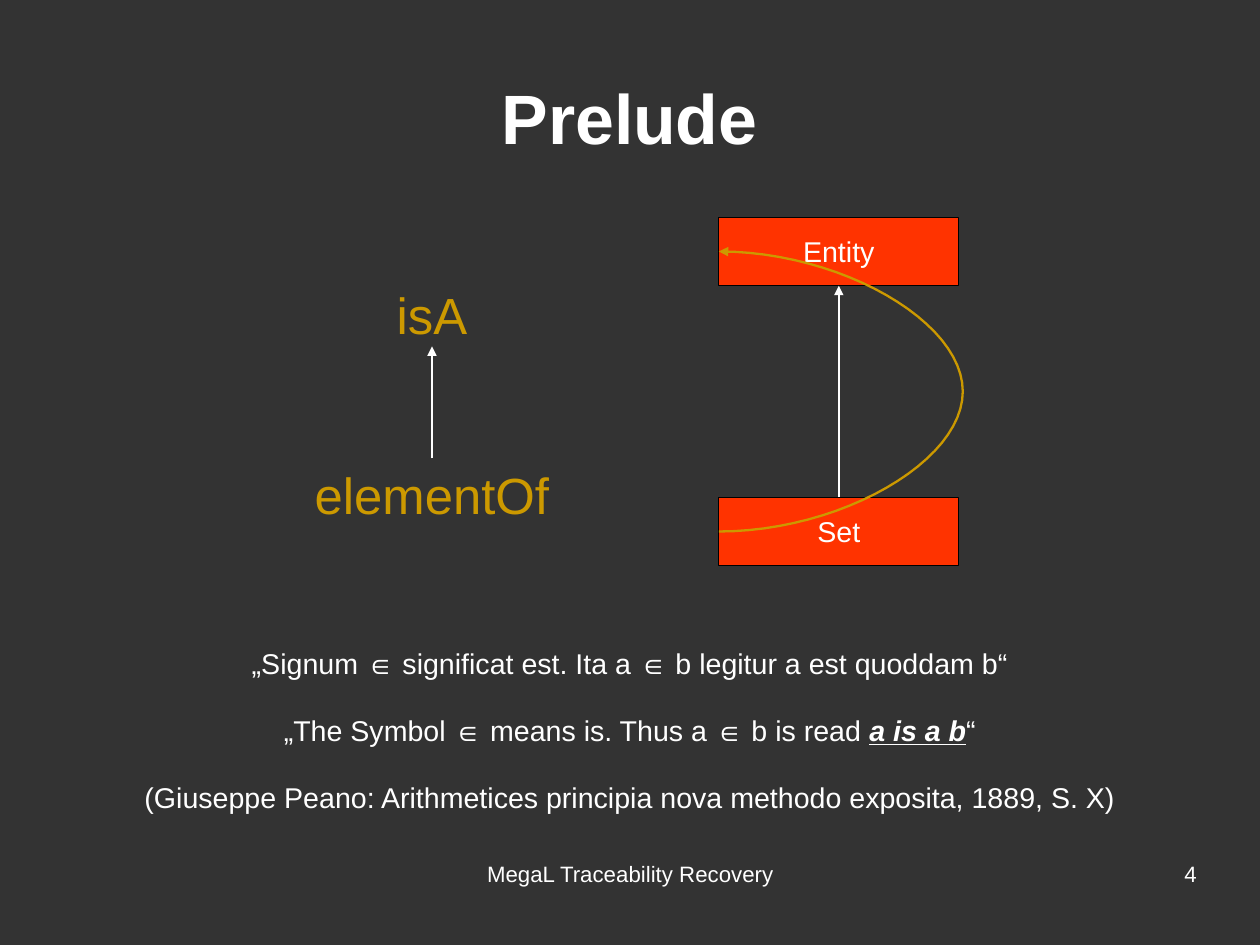
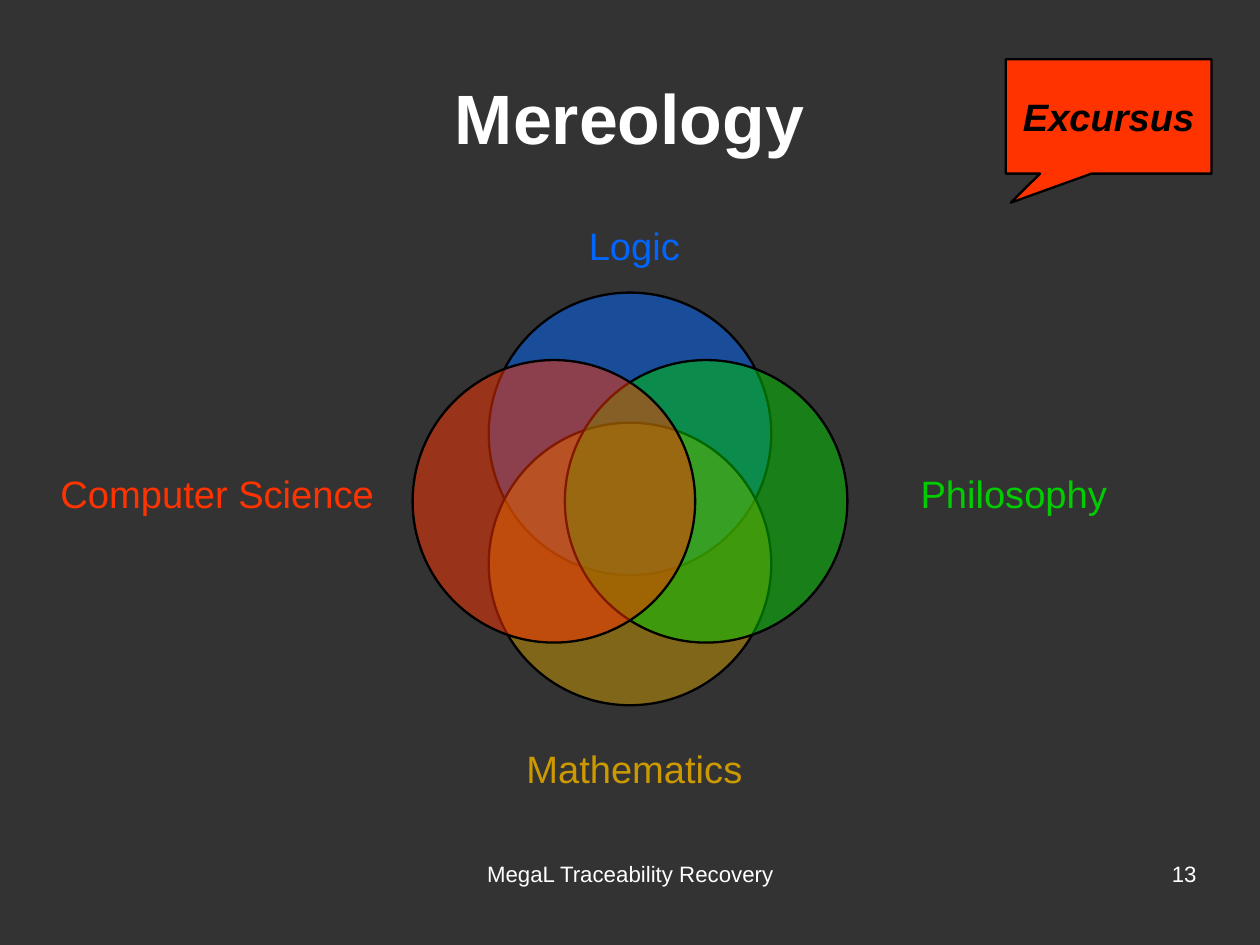
import dataclasses

import lxml.etree
import pptx
import pptx.dml.color
import pptx.enum.shapes
import pptx.enum.text
import pptx.oxml.ns
import pptx.util

Pt = pptx.util.Pt
Shape = pptx.enum.shapes.MSO_SHAPE
Align = pptx.enum.text.PP_ALIGN
Anchor = pptx.enum.text.MSO_ANCHOR


@dataclasses.dataclass(frozen=True)
class Theme:
    font: str = "Arial"
    back: str = "333333"
    white: str = "FFFFFF"
    black: str = "000000"
    red: str = "FF3300"
    gold: str = "CC9900"
    green: str = "00CC00"
    blue: str = "0066FF"
    title: int = 44
    term: int = 32
    label: int = 24
    body: int = 18
    foot: int = 14
    line: float = 1.45


THEME = Theme()
WIDE, HIGH = 793.7, 595.28


def hue(code):
    return pptx.dml.color.RGBColor.from_string(code)


def node(parent, tag, **marks):
    return lxml.etree.SubElement(parent, pptx.oxml.ns.qn(tag), **marks)


def write(shape, *paras, size=THEME.body, color=THEME.white, bold=False, slant=False,
          align=Align.CENTER, anchor=Anchor.TOP, inset=(7.2, 3.6), wrap=True, gap=0):
    frame = shape.text_frame
    frame.word_wrap = wrap
    frame.vertical_anchor = anchor
    frame.margin_left = frame.margin_right = Pt(inset[0])
    frame.margin_top = frame.margin_bottom = Pt(inset[1])
    for index, para in enumerate(paras):
        line = frame.add_paragraph() if index else frame.paragraphs[0]
        line.alignment = align
        line.space_after = Pt(gap)
        for words, stress in [(para, False)] if isinstance(para, str) else para:
            run = line.add_run()
            run.text = words
            run.font.name = THEME.font
            run.font.size = Pt(size)
            run.font.color.rgb = hue(color)
            run.font.bold = bold or stress
            run.font.italic = slant or stress
            run.font.underline = stress


def label(slide, box, *paras, **style):
    write(slide.shapes.add_textbox(*map(Pt, box)), *paras, **style)


def block(slide, kind, box, fill, width=THEME.line, alpha=None):
    shape = slide.shapes.add_shape(kind, *map(Pt, box))
    shape.shadow.inherit = False
    shape.fill.solid()
    shape.fill.fore_color.rgb = hue(fill)
    shape.line.color.rgb = hue(THEME.black)
    shape.line.width = Pt(width)
    if alpha:
        paint = shape._element.spPr.find(pptx.oxml.ns.qn("a:solidFill"))
        node(paint[0], "a:alpha", val=str(alpha * 1000))
    return shape


def tip(shape, color):
    shape.line.color.rgb = hue(color)
    shape.line.width = Pt(THEME.line)
    node(shape.line._get_or_add_ln(), "a:tailEnd", type="triangle")


def arrow(slide, x, start, end):
    link = slide.shapes.add_connector(
        pptx.enum.shapes.MSO_CONNECTOR.STRAIGHT, Pt(x), Pt(start), Pt(x), Pt(end))
    tip(link, THEME.white)
    node(link._element.spPr, "a:effectLst")


def loop(slide, x, start, end, reach, steps=24):
    half = (start - end) / 2
    quarter = []
    for index in range(steps + 1):
        t = index / steps
        across = 1.5 * t * (1 - t) ** 2 + 3 * t ** 2 * (1 - t) + t ** 3
        up = 1.5 * t ** 2 * (1 - t) + t ** 3
        quarter.append((x + reach * across, half * up))
    dots = [(a, start - b) for a, b in quarter]
    dots += [(a, end + b) for a, b in quarter[-2::-1]]
    dots = [(Pt(a), Pt(b)) for a, b in dots]
    path = slide.shapes.build_freeform(*dots[0], scale=1.0)
    path.add_line_segments(dots[1:], close=False)
    curve = path.convert_to_shape()
    curve.shadow.inherit = False
    curve.fill.background()
    tip(curve, THEME.gold)


def base(deck, title, number):
    slide = deck.slides.add_slide(deck.slide_layouts[6])
    slide.background.fill.solid()
    slide.background.fill.fore_color.rgb = hue(THEME.back)
    label(slide, (39.6, 23.8, 714.2, 99.4), title, size=THEME.title, bold=True,
          anchor=Anchor.MIDDLE, inset=(0, 0))
    label(slide, (271.4, 542.2, 251.3, 41), "MegaL Traceability Recovery",
          size=THEME.foot, inset=(0, 0))
    label(slide, (568.8, 542.2, 185, 41), str(number), size=THEME.foot,
          align=Align.RIGHT, inset=(0, 0))
    return slide


def graph(slide, left, top, width, height):
    wide, tall, span = 151.2, 43.2, 164.2
    side = left + width - wide
    low = top + height - tall
    for name, y in (("Entity", top), ("Set", low)):
        card = block(slide, Shape.RECTANGLE, (side, y, wide, tall), THEME.red, width=0)
        write(card, name, anchor=Anchor.MIDDLE, wrap=False)
    high, deep = top + 38.2, top + 151.9
    for name, y in (("isA", high), ("elementOf", deep)):
        label(slide, (left, y, span, tall), name, size=THEME.term, color=THEME.gold)
    arrow(slide, side + wide / 2, low, top + tall)
    arrow(slide, left + span / 2, deep, high + tall)
    loop(slide, side, low + tall / 2, top + tall / 2, 153.7)


def quote(slide, *box):
    label(slide, box,
          "„Signum ∈ significat est. Ita a ∈ b legitur a est quoddam b“",
          [("„The Symbol ∈ means is. Thus a ∈ b is read ", False),
           ("a is a b", True), ("“", False)],
          "(Giuseppe Peano: Arithmetices principia nova methodo exposita, 1889, S. X)",
          gap=20.7)


def venn(slide, left, top, width, height):
    disc, tall = 178, 33.8
    mid = (width - disc) / 2
    row = 42.5
    fields = (
        ("Logic", THEME.blue, mid, 0, 56.9, -47.5, 165.6),
        ("Mathematics", THEME.gold, mid, height - disc, 56.9, 281.5, 165.6),
        ("Philosophy", THEME.green, width - disc, row, 277.9, 108.7, 201.6),
        ("Computer Science", THEME.red, 0, row, -252.7, 108.7, 259.2),
    )
    for name, color, x, y, across, down, wide in fields:
        block(slide, Shape.OVAL, (left + x, top + y, disc, disc), color, alpha=50)
        label(slide, (left + across, top + down, wide, tall), name,
              size=THEME.label, color=color)


def badge(slide, *box):
    note = block(slide, Shape.RECTANGULAR_CALLOUT, box, THEME.red)
    note.adjustments[0] = -0.476
    note.adjustments[1] = 0.755
    write(note, "Excursus", size=THEME.label, color=THEME.black, bold=True,
          slant=True, anchor=Anchor.MIDDLE, wrap=False)


def main():
    deck = pptx.Presentation()
    deck.slide_width, deck.slide_height = Pt(WIDE), Pt(HIGH)
    slide = base(deck, "Prelude", 4)
    graph(slide, 190, 136.8, 414, 219.6)
    quote(slide, 54.7, 403.2, 684, 114.5)
    slide = base(deck, "Mereology", 13)
    venn(slide, 259.9, 184.3, 273.9, 260)
    badge(slide, 633.6, 37.4, 129.6, 72)
    deck.save("out.pptx")


if __name__ == "__main__":
    main()
